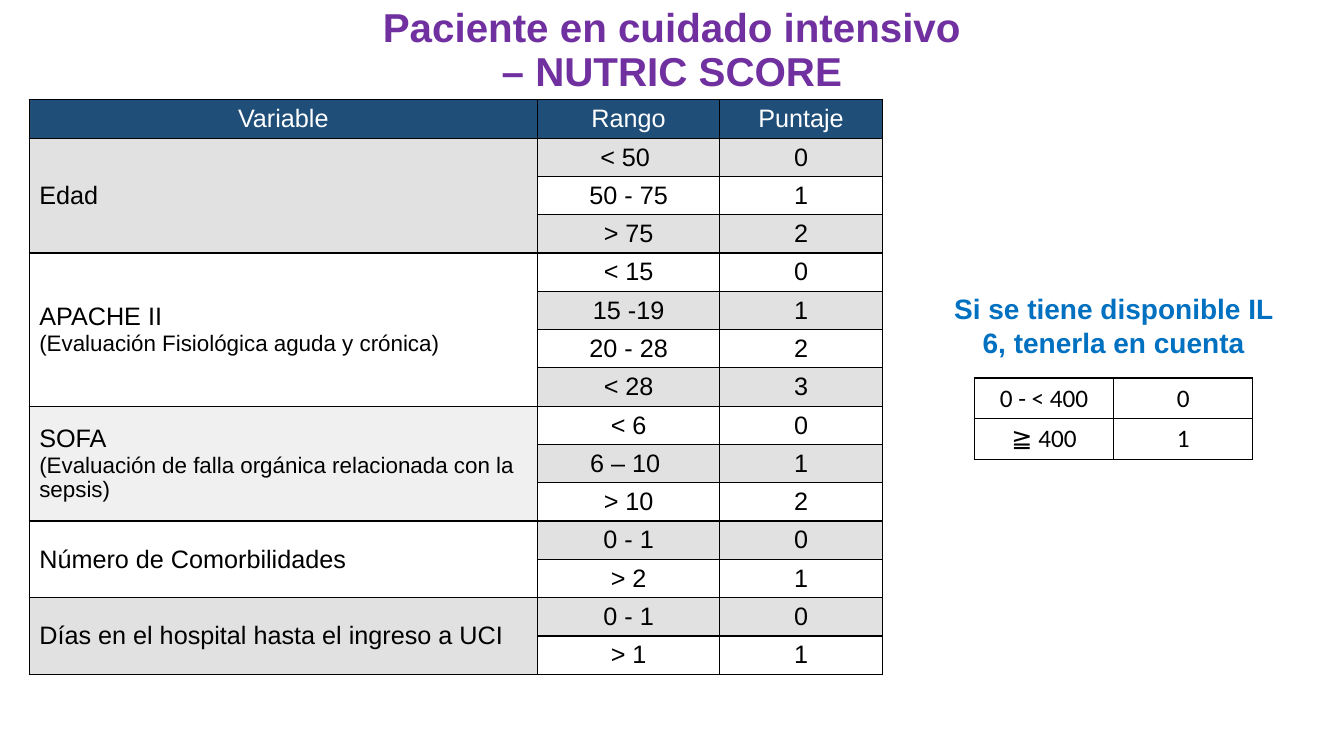
from lxml import etree
from pptx import Presentation
from pptx.dml.color import RGBColor
from pptx.enum.text import MSO_ANCHOR, PP_ALIGN
from pptx.oxml.ns import qn
from pptx.util import Inches, Pt

LEFT, CENTER = PP_ALIGN.LEFT, PP_ALIGN.CENTER
MIDDLE = MSO_ANCHOR.MIDDLE

COLORS = {
    "title": "7030A0",
    "note": "0070C0",
    "header": "1F4E79",
    "band": "E1E1E1",
    "light": "F0F0F0",
    "white": "FFFFFF",
    "black": "000000",
}

HEADERS = ["Variable", "Rango", "Puntaje"]
VARIABLES = [
    (["Edad"], "band", ["< 50 ", "50 - 75", "> 75"]),
    (["APACHE II", "(Evaluación Fisiológica aguda y crónica)"], "white",
     ["< 15", "15 -19", "20 - 28", "< 28"]),
    (["SOFA", "(Evaluación de falla orgánica relacionada con la sepsis)"], "light",
     ["< 6", "6 – 10 ", "> 10"]),
    (["Número de Comorbilidades"], "white", ["0 - 1", "> 2"]),
    (["Días en el hospital hasta el ingreso a UCI"], "band", ["0 - 1", "> 1"]),
]
IL6_RANGES = ["0 - < 400", "≧ 400"]


def rgb(name):
    """Return the named colour."""
    return RGBColor.from_string(COLORS[name])


def style(p, size, color, font="Arial", bold=False, align=CENTER):
    """Set the font and alignment of a paragraph."""
    p.alignment = align
    p.font.name, p.font.size, p.font.bold = font, Pt(size), bold
    p.font.color.rgb = rgb(color)


def add_text(s, box, text, size, color, spacing=1.0):
    """Add a bold centred text box."""
    tf = s.shapes.add_textbox(*map(Inches, box)).text_frame
    tf.word_wrap = True
    tf.vertical_anchor = MIDDLE
    p = tf.paragraphs[0]
    p.text = text
    p.line_spacing = spacing
    style(p, size, color, bold=True)


def add_borders(cell):
    """Draw thin black lines on the four sides of a cell."""
    tcPr = cell._tc.get_or_add_tcPr()
    for i, side in enumerate(("a:lnL", "a:lnR", "a:lnT", "a:lnB")):
        ln = etree.Element(qn(side), w=str(Pt(1)))
        fill = etree.SubElement(ln, qn("a:solidFill"))
        etree.SubElement(fill, qn("a:srgbClr"), val=COLORS["black"])
        tcPr.insert(i, ln)


def fill_cell(cell, lines, fill, color="black", font="Arial", align=CENTER):
    """Write the lines of a cell, the first one larger, and paint it."""
    cell.fill.solid()
    cell.fill.fore_color.rgb = rgb(fill)
    cell.vertical_anchor = MIDDLE
    cell.margin_top = cell.margin_bottom = Inches(0.04)
    tf = cell.text_frame
    tf.text = "\n".join(lines)
    for i, p in enumerate(tf.paragraphs):
        style(p, 16 if i else 18, color, font, align=align)
    add_borders(cell)


def new_table(s, box, rows, widths):
    """Add a table with equal rows and the given column widths."""
    table = s.shapes.add_table(rows, len(widths), *map(Inches, box)).table
    for column, width in zip(table.columns, widths):
        column.width = Inches(width)
    for row in table.rows:
        row.height = Inches(box[3] / rows)
    return table


def add_score_table(s, box):
    """Add the table of variables, ranges and points."""
    total = 1 + sum(len(ranges) for _, _, ranges in VARIABLES)
    table = new_table(s, box, total, [5.04, 1.81, 1.61])
    for c, header in enumerate(HEADERS):
        fill_cell(table.cell(0, c), [header], "header", "white")
    row = 1
    for lines, fill, ranges in VARIABLES:
        first = row
        for points, label in enumerate(ranges):
            band = "band" if row % 2 else "white"
            fill_cell(table.cell(row, 1), [label], band)
            fill_cell(table.cell(row, 2), [str(points)], band)
            add_borders(table.cell(row, 0))
            row += 1
        variable = table.cell(first, 0)
        variable._tc.get_or_add_tcPr().clear()
        variable.merge(table.cell(row - 1, 0))
        fill_cell(variable, lines, fill, align=LEFT)


def add_il6_panel(s, left, top, width):
    """Add the note on IL 6 with its small table centred below."""
    add_text(s, (left, top, width, 0.77),
             "Si se tiene disponible IL 6, tenerla en cuenta", 20, "note")
    box = (left + (width - 2.76) / 2, top + 0.91, 2.76, 0.81)
    table = new_table(s, box, len(IL6_RANGES), [1.38, 1.38])
    for points, label in enumerate(IL6_RANGES):
        for c, text in enumerate((label, str(points))):
            fill_cell(table.cell(points, c), [text], "white", font="Calibri")


def main():
    """Build the slide and save it."""
    prs = Presentation()
    prs.slide_width, prs.slide_height = Inches(13.33), Inches(7.5)
    s = prs.slides.add_slide(prs.slide_layouts[6])
    add_text(s, (0, 0, 13.33, 1.02),
             "Paciente en cuidado intensivo\v– NUTRIC SCORE", 28.8, "title", 0.9)
    add_score_table(s, (0.29, 0.99, 8.46, 5.7))
    add_il6_panel(s, 9.29, 2.84, 3.51)
    prs.save("out.pptx")


if __name__ == "__main__":
    main()
